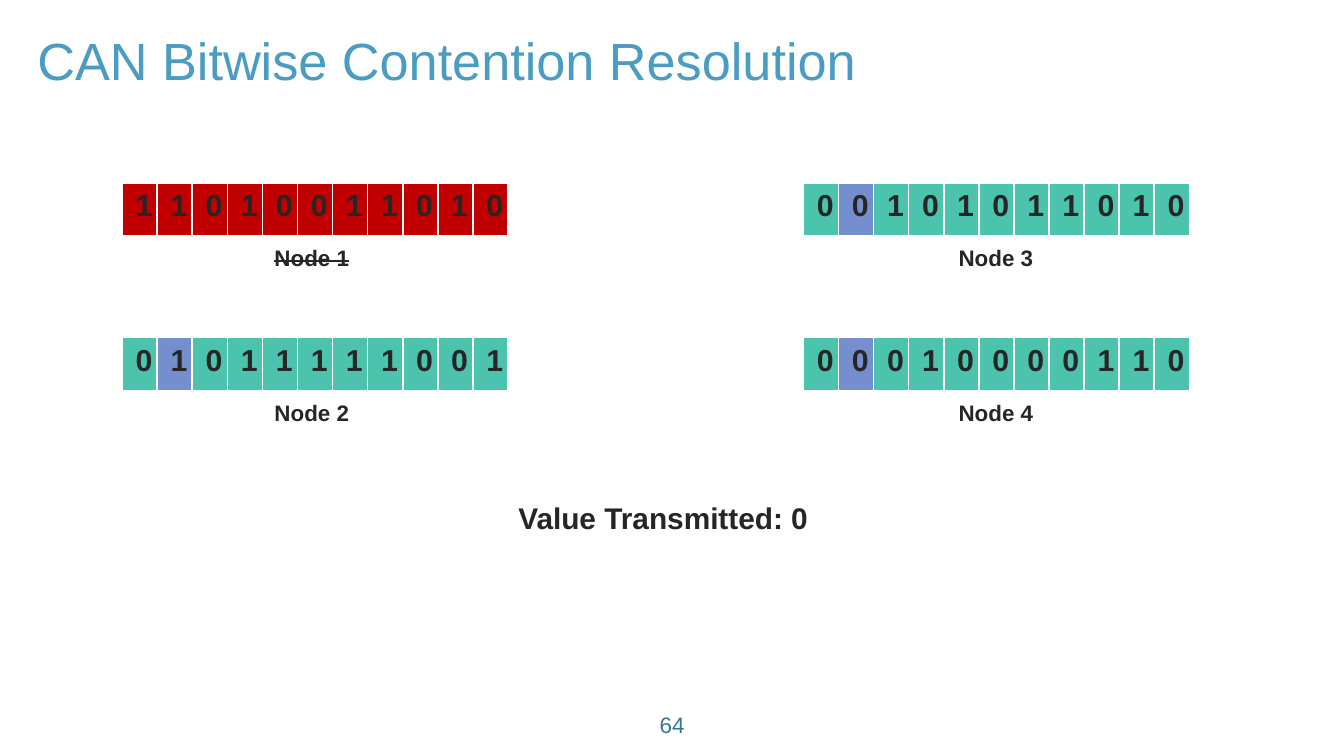
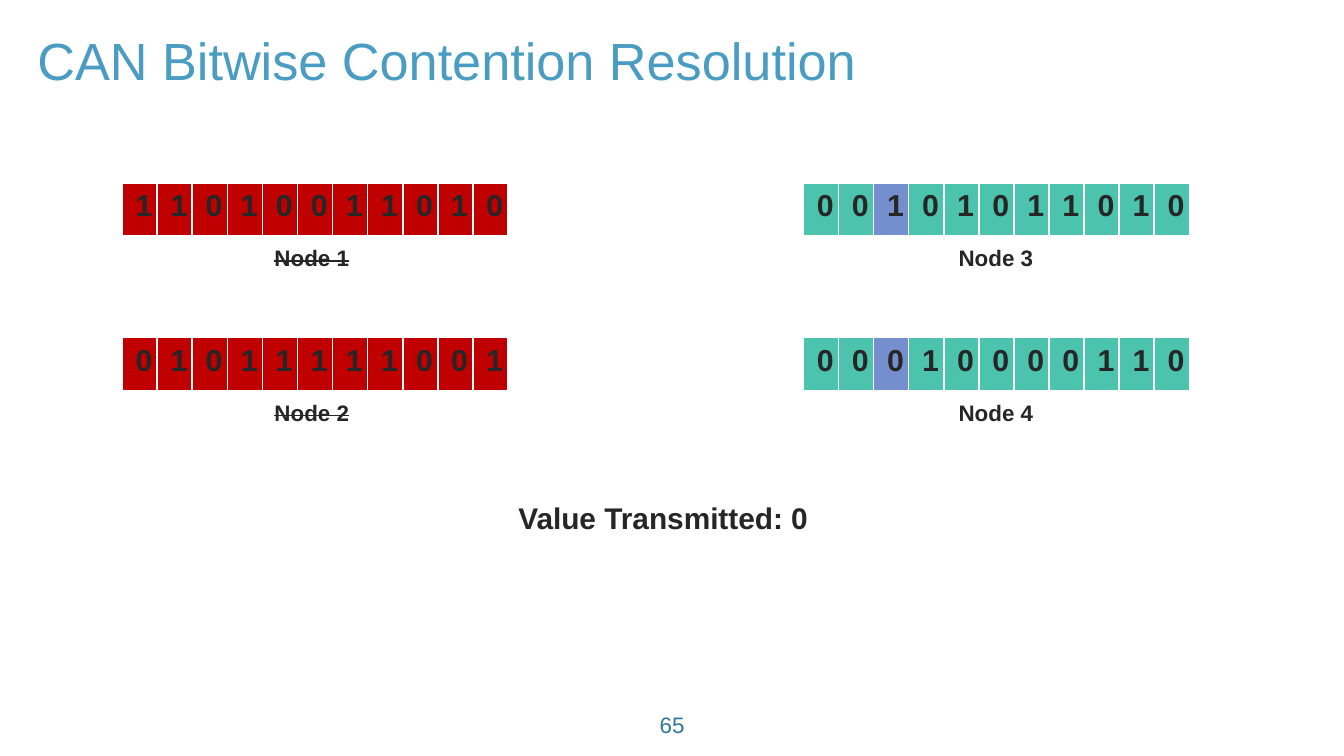
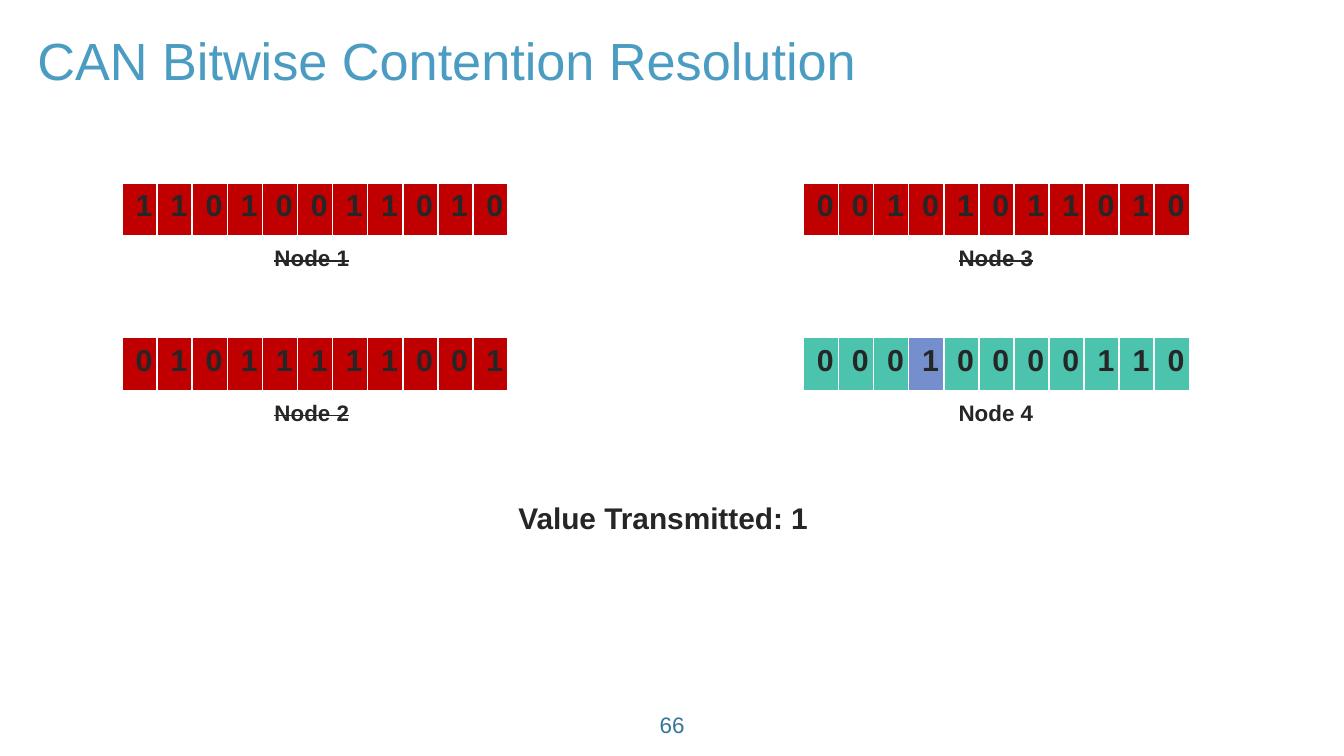
from dataclasses import dataclass

from lxml import etree
from pptx import Presentation
from pptx.dml.color import RGBColor
from pptx.enum import text
from pptx.oxml import ns
from pptx.util import Pt

FONT = "Arial"
INK, TITLE, FOOTER, WHITE = "262626", "4A9CC2", "337796", "FFFFFF"
ACTIVE, CURRENT, LOST = "4BC3AD", "758ECD", "C00000"
BIT_W, BIT_H = 18.8, 29.4
LEFT, RIGHT, TOP, BOTTOM = 65.4, 430.4, 98, 180.7
LEFT_LABEL, RIGHT_LABEL = 139.7, 506.2
BORDERS = {"a:lnL": 1, "a:lnR": 1, "a:lnT": 1, "a:lnB": 3}


@dataclass(frozen=True)
class Node:
    name: str
    bits: str
    x: float
    y: float
    label_x: float


@dataclass(frozen=True)
class Label:
    x: float
    y: float
    w: float
    h: float
    size: float
    color: str = INK
    bold: bool = True
    centered: bool = True
    wrap: bool = False
    middle: bool = False


NODES = [
    Node("Node 1", "11010011010", LEFT, TOP, LEFT_LABEL),
    Node("Node 3", "00101011010", RIGHT, TOP, RIGHT_LABEL),
    Node("Node 2", "01011111001", LEFT, BOTTOM, LEFT_LABEL),
    Node("Node 4", "00010000110", RIGHT, BOTTOM, RIGHT_LABEL),
]
TITLE_LABEL = Label(13, 11.5, 689, 41, 28, TITLE, bold=False, centered=False, wrap=True)
NUMBER_LABEL = Label(326.2, 377.3, 67.7, 21.6, 12, FOOTER, bold=False, wrap=True, middle=True)
VALUE_LABEL = Label(269.3, 264.2, 176.4, 26.6, 16)


def rgb(color: str) -> RGBColor:
    return RGBColor.from_string(color)


def style_paragraph(p, size: float, color: str, bold: bool, centered: bool) -> None:
    p.alignment = text.PP_ALIGN.CENTER if centered else text.PP_ALIGN.LEFT
    p.font.name = FONT
    p.font.size = Pt(size)
    p.font.bold = bold
    p.font.color.rgb = rgb(color)


def add_label(s, label: Label, content: str, struck: bool = False) -> None:
    sp = s.shapes.add_textbox(Pt(label.x), Pt(label.y), Pt(label.w), Pt(label.h))
    tf = sp.text_frame
    tf.word_wrap = label.wrap
    tf.auto_size = text.MSO_AUTO_SIZE.SHAPE_TO_FIT_TEXT
    tf.vertical_anchor = text.MSO_ANCHOR.MIDDLE if label.middle else text.MSO_ANCHOR.TOP
    p = tf.paragraphs[0]
    r = p.add_run()
    r.text = content
    style_paragraph(p, label.size, label.color, label.bold, label.centered)
    if struck:
        r._r.get_or_add_rPr().set("strike", "sngStrike")


def add_borders(cell) -> None:
    tc_pr = cell._tc.get_or_add_tcPr()
    for i, (tag, width) in enumerate(BORDERS.items()):
        ln = etree.Element(ns.qn(tag), w=str(Pt(width)))
        fill = etree.SubElement(ln, ns.qn("a:solidFill"))
        etree.SubElement(fill, ns.qn("a:srgbClr"), val=WHITE)
        tc_pr.insert(i, ln)


def add_node(s, node: Node, bit: int, lost: bool) -> None:
    count = len(node.bits)
    table = s.shapes.add_table(
        1, count, Pt(node.x), Pt(node.y), Pt(BIT_W * count), Pt(BIT_H)
    ).table
    table.horz_banding = False
    for i, value in enumerate(node.bits):
        table.columns[i].width = Pt(BIT_W)
        cell = table.cell(0, i)
        cell.text = value
        style_paragraph(cell.text_frame.paragraphs[0], 16.2, INK, True, True)
        cell.fill.solid()
        cell.fill.fore_color.rgb = rgb(LOST if lost else CURRENT if i == bit else ACTIVE)
        add_borders(cell)
    add_label(s, Label(node.label_x, node.y + BIT_H, 54.7, 21.6, 12), node.name, lost)


def add_round(prs, bit: int, number: int) -> None:
    s = prs.slides.add_slide(prs.slide_layouts[6])
    add_label(s, TITLE_LABEL, "CAN Bitwise Contention Resolution")
    add_label(s, NUMBER_LABEL, str(number))
    winning = min(node.bits[:bit] for node in NODES)
    for node in NODES:
        add_node(s, node, bit, lost=node.bits[:bit] != winning)
    sent = min(node.bits[bit] for node in NODES if node.bits[:bit] == winning)
    add_label(s, VALUE_LABEL, f"Value Transmitted: {sent} ")


def main() -> None:
    prs = Presentation()
    prs.slide_width, prs.slide_height = Pt(720), Pt(405)
    for bit in (1, 2, 3):
        add_round(prs, bit, number=63 + bit)
    prs.save("out.pptx")


if __name__ == "__main__":
    main()
